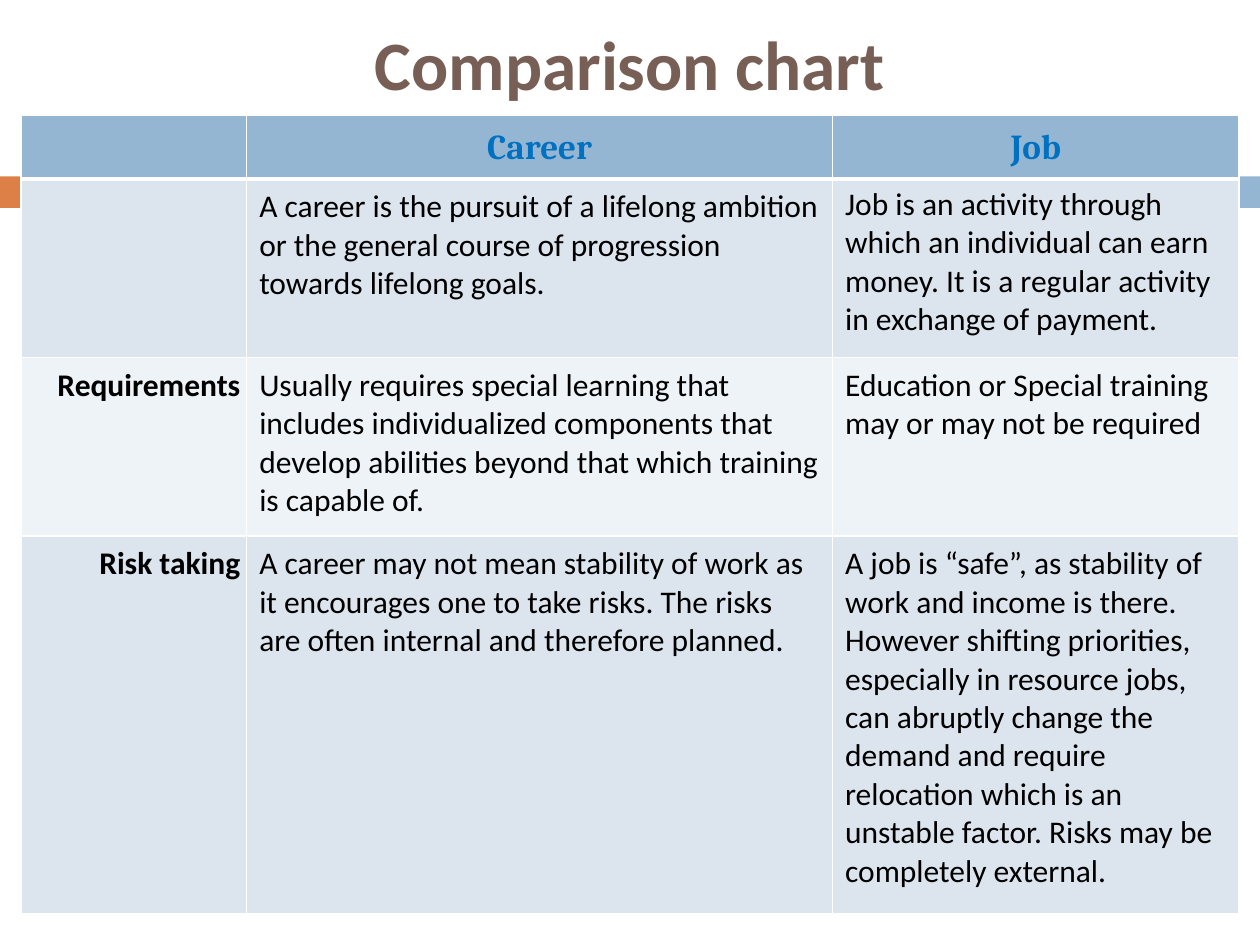
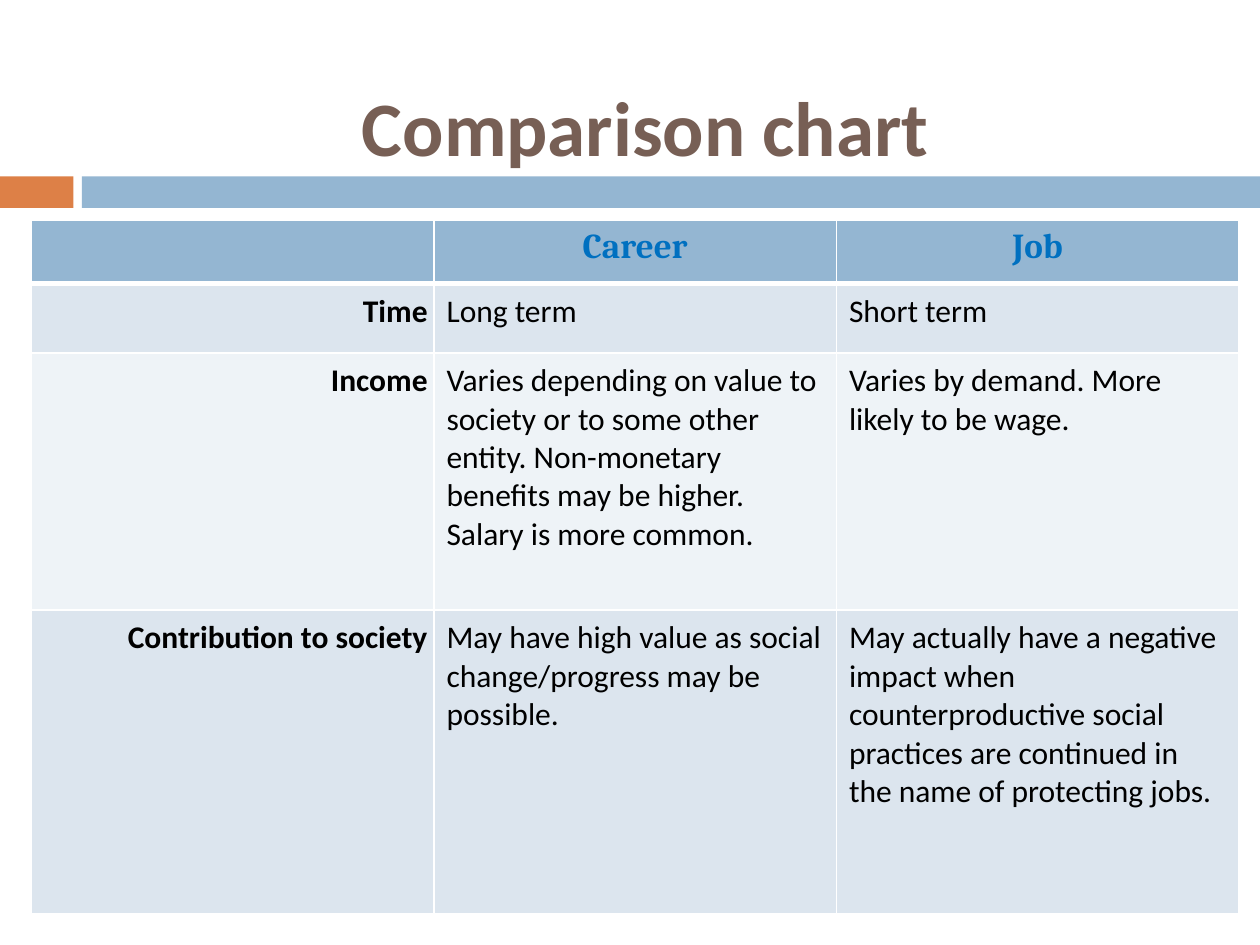
from lxml import etree
from pptx import Presentation
from pptx import util as u
from pptx.dml.color import RGBColor
from pptx.enum import shapes, text
from pptx.oxml.ns import qn

# The grid: 120 columns by 90 rows on a 10 x 7.5 inch slide
COLUMNS, ROWS = 120, 90

ORANGE, BLUE, BROWN = "DD8047", "94B6D2", "775F55"
WHITE, DARK_STRIPE, LIGHT_STRIPE = "FFFFFF", "DCE5EE", "EEF3F7"

# Text formats
TITLE = dict(name="Calibri", bold=True, color=BROWN)
HEADER = dict(name="Cambria", size=u.Pt(20), bold=True, color="0070C0")
BODY = dict(name="Calibri", size=u.Pt(18), bold=False, color="000000")
LABEL = {**BODY, "bold": True}

# Cell margins in inches: left, top, right, bottom
BODY_MARGINS = (0.1, 0.07, 0.1, 0.07)
LABEL_MARGINS = (0.1, 0.07, 0.05, 0.07)
PLAIN_MARGINS = (0.1, 0.05, 0.1, 0.05)


def rgb(color):
    return RGBColor.from_string(color)


class Deck:
    def __init__(self):
        self.presentation = Presentation()
        self.presentation.slide_width = u.Inches(10)
        self.presentation.slide_height = u.Inches(7.5)
        self.column = self.presentation.slide_width / COLUMNS
        self.row = self.presentation.slide_height / ROWS
        self.slide = None

    def box(self, left, top, width, height):
        return (round(left * self.column), round(top * self.row),
                round(width * self.column), round(height * self.row))

    def add_slide(self):
        blank = self.presentation.slide_layouts[6]
        self.slide = self.presentation.slides.add_slide(blank)
        self.band(0, 7, ORANGE)
        self.band(7.8, COLUMNS - 7.8, BLUE)

    def band(self, left, width, color):
        shape = self.slide.shapes.add_shape(
            shapes.MSO_SHAPE.RECTANGLE, *self.box(left, 16.8, width, 3))
        shape.shadow.inherit = False
        shape.fill.solid()
        shape.fill.fore_color.rgb = rgb(color)
        shape.line.fill.background()

    def add_words(self, frame, words, style, alignment):
        paragraph = frame.paragraphs[0]
        paragraph.alignment = alignment
        run = paragraph.add_run()
        run.text = words
        for key, value in style.items():
            if key == "color":
                run.font.color.rgb = rgb(value)
            else:
                setattr(run.font, key, value)

    def title(self, words, place, size):
        frame = self.slide.shapes.add_textbox(*self.box(*place)).text_frame
        frame.word_wrap = True
        frame.vertical_anchor = text.MSO_ANCHOR.MIDDLE
        self.add_words(frame, words, {**TITLE, "size": u.Pt(size)},
                       text.PP_ALIGN.CENTER)

    def borders(self, cell, top, bottom):
        properties = cell._tc.get_or_add_tcPr()
        widths = dict(lnL=1, lnR=1, lnT=top, lnB=bottom)
        for index, (side, width) in enumerate(widths.items()):
            line = etree.Element(qn("a:" + side), w=str(u.Pt(width)))
            fill = etree.SubElement(line, qn("a:solidFill"))
            etree.SubElement(fill, qn("a:srgbClr"), val=WHITE)
            properties.insert(index, line)

    def cell(self, cell, words, row, column, margins):
        if row == 0:
            fill, style, alignment = BLUE, HEADER, text.PP_ALIGN.CENTER
        else:
            fill = DARK_STRIPE if row % 2 else LIGHT_STRIPE
            style, alignment = ((BODY, text.PP_ALIGN.LEFT) if column
                                else (LABEL, text.PP_ALIGN.RIGHT))
        cell.fill.solid()
        cell.fill.fore_color.rgb = rgb(fill)
        self.borders(cell, top=3 if row == 1 else 1, bottom=1 if row else 3)
        for side, margin in zip(("left", "top", "right", "bottom"), margins):
            setattr(cell, "margin_" + side, u.Inches(margin))
        if words:
            self.add_words(cell.text_frame, words, style, alignment)

    def table(self, left, top, widths, heights, rows, margins):
        """Draw a table; margins holds the exceptions, by (row, column)."""
        place = self.box(left, top, sum(widths), sum(heights))
        table = self.slide.shapes.add_table(
            len(heights), len(widths), *place).table
        for column, width in zip(table.columns, widths):
            column.width = round(width * self.column)
        for row, height in zip(table.rows, heights):
            row.height = round(height * self.row)
        for i, row in enumerate(rows):
            for j, words in enumerate(row):
                usual = BODY_MARGINS if j else LABEL_MARGINS
                self.cell(table.cell(i, j), words, i, j,
                          margins.get((i, j), usual))


HEADINGS = ("", "Career", "Job")
deck = Deck()

# Slide 1: definition, requirements and risk
deck.add_slide()
deck.title("Comparison chart", (6, 2, 108, 8), 39.6)
header_margins = (0.08, 0.1, 0.08, 0.07)
deck.table(2, 11, (21.5, 55.8, 38.7), (6, 17, 17, 36), (
    HEADINGS,
    ("",
     "A career is the pursuit of a lifelong ambition or the general course "
     "of progression towards lifelong goals.",
     "Job is an activity through which an individual can earn money. It is "
     "a regular activity in exchange of payment."),
    ("Requirements",
     "Usually requires special learning that includes individualized "
     "components that develop abilities beyond that which training is "
     "capable of.",
     "Education or Special training may or may not be required"),
    ("Risk taking",
     "A career may not mean stability of work as it encourages one to take "
     "risks. The risks are often internal and therefore planned.",
     "A job is “safe”, as stability of work and income is there. However "
     "shifting priorities, especially in resource jobs, can abruptly change "
     "the demand and require relocation which is an unstable factor. Risks "
     "may be completely external."),
), {(0, 1): header_margins, (0, 2): header_margins, (1, 2): PLAIN_MARGINS})

# Slide 2: time, income and contribution
deck.add_slide()
deck.title("Comparison chart", (8, 7, 107, 10), 44)
deck.table(3, 21, (115 / 3,) * 3, (6, 6.6, 24.5, 28.9), (
    HEADINGS,
    ("Time", "Long term", "Short term"),
    ("Income",
     "Varies depending on value to society or to some other entity. "
     "Non-monetary benefits may be higher. Salary is more common.",
     "Varies by demand. More likely to be wage."),
    ("Contribution to society",
     "May have high value as social change/progress may be possible.",
     "May actually have a negative impact when counterproductive social "
     "practices are continued in the name of protecting jobs."),
), {(0, 1): PLAIN_MARGINS, (0, 2): PLAIN_MARGINS})

deck.presentation.save("out.pptx")
